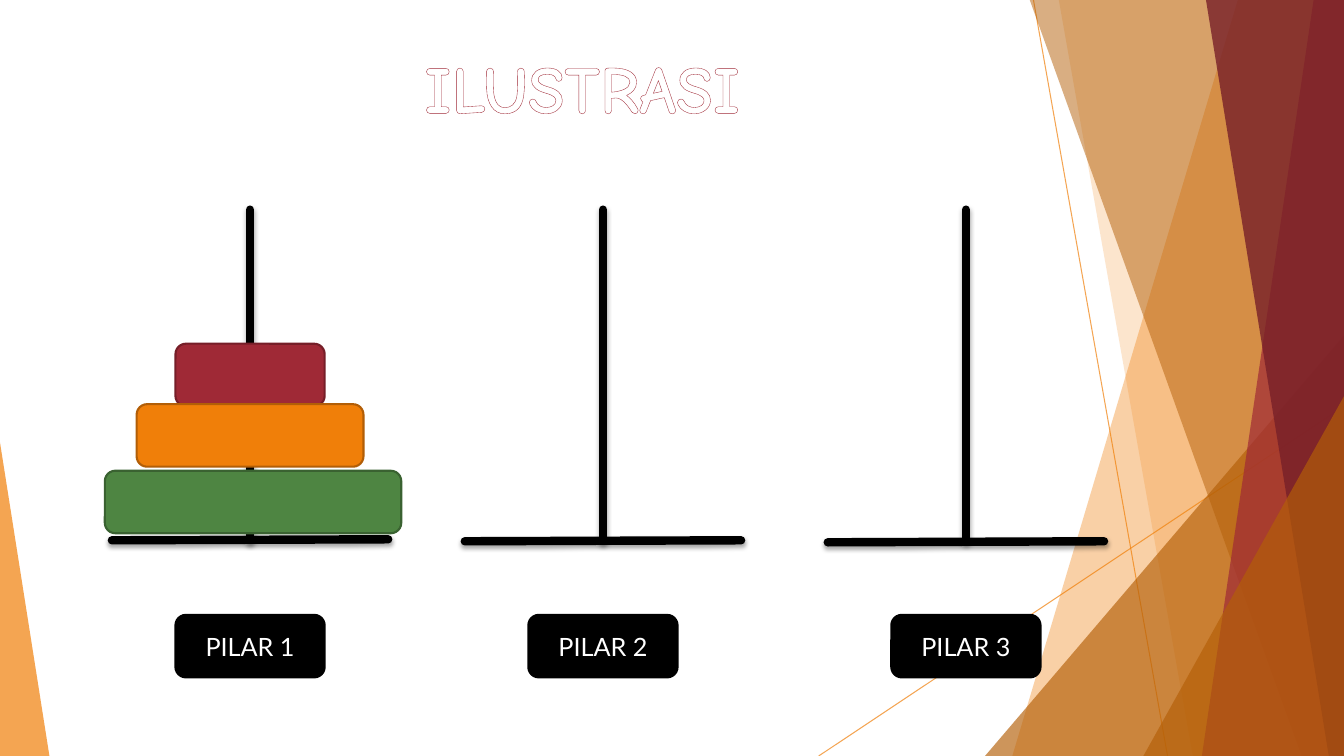
"""Build the Tower of Hanoi slide: three pillars, three disks and a shard backdrop."""
from lxml.etree import SubElement
from pptx import Presentation
from pptx.dml.color import RGBColor
from pptx.enum.shapes import MSO_CONNECTOR, MSO_SHAPE
from pptx.enum.text import MSO_ANCHOR, PP_ALIGN
from pptx.oxml.ns import qn
from pptx.util import Inches, Pt

WIDE, HIGH = 13.33, 7.5
TOP = -0.01
ORANGE, BROWN, RED, WINE = "F07F09", "B45F07", "9F2936", "771F28"
BLACK, WHITE = "000000", "FFFFFF"


def paint(fill, color, alpha=100):
    """Give a fill a solid colour, with an opacity in percent."""
    fill.solid()
    fill.fore_color.rgb = RGBColor.from_string(color)
    if alpha < 100:
        tint = fill._xPr.find(".//" + qn("a:srgbClr"))
        SubElement(tint, qn("a:alpha"), val=str(alpha * 1000))


def rule(start, end, color, width, alpha=100):
    """Draw a straight line and return it with its empty effect list."""
    ends = [Inches(v) for v in (*start, *end)]
    line = shapes.add_connector(MSO_CONNECTOR.STRAIGHT, *ends)
    line.line.width = Pt(width)
    paint(line.line.fill, color, alpha)
    return line, SubElement(line.element.spPr, qn("a:effectLst"))


deck = Presentation()
deck.slide_width, deck.slide_height = Inches(WIDE), Inches(HIGH)
slide = deck.slides.add_slide(deck.slide_layouts[6])
shapes = slide.shapes
paint(slide.background.fill, WHITE)

rule((10.25, 0), (11.58, HIGH), ORANGE, 0.75, 70)
rule((WIDE, 4.03), (8.12, HIGH), ORANGE, 0.75, 70)

# name, colour, opacity, then the slanted edge or the triangle's box
shards = [
    ("band", ORANGE, 36, (12.28, 10.04)),
    ("band", ORANGE, 20, (10.5, 11.83)),
    ("peak", BROWN, 66, (9.77, 3.33, 3.56, 1)),
    ("band", BROWN, 50, (10.21, 12.91)),
    ("band", RED, 70, (13.03, 11.92)),
    ("band", WINE, 80, (11.96, 13.18)),
    ("peak", BROWN, 66, (11.34, 3.93, 1.99, 1)),
    ("peak", ORANGE, 70, (0, 4.39, 0.49, 0)),
]
for kind, color, alpha, form in shards:
    if kind == "band":
        head, foot = form
        pen = shapes.build_freeform(Inches(head), Inches(TOP))
        edge = [(WIDE, TOP), (WIDE, HIGH), (foot, HIGH)]
        pen.add_line_segments([(Inches(x), Inches(y)) for x, y in edge])
        shard = pen.convert_to_shape()
    else:
        left, top, width, tip = form
        box = [Inches(v) for v in (left, top, width, HIGH - top)]
        shard = shapes.add_shape(MSO_SHAPE.ISOSCELES_TRIANGLE, *box)
        shard.adjustments[0] = tip
    shard.shadow.inherit = False
    shard.line.fill.background()
    paint(shard.fill, color, alpha)

posts = [2.48, 5.98, 9.58]
bars = [((x, 2.08), (x, 5.35)) for x in posts]
for n, x in enumerate(posts):
    level = 5.35 + n * 0.01
    bars.append(((x + 1.37, level), (x - 1.37, level + 0.01)))
for start, end in bars:
    bar, glow = rule(start, end, BLACK, 6)
    bar.line.fill._xPr.set("cap", "rnd")
    shade = SubElement(glow, qn("a:outerShdw"), blurRad=str(Pt(3)),
                       dist=str(Pt(2)), dir="5400000", rotWithShape="0")
    tint = SubElement(shade, qn("a:srgbClr"), val=BLACK)
    SubElement(tint, qn("a:alpha"), val="35000")

blocks = [
    (2.48, 3.41, 1.48, RED, "761E28", ""),
    (2.48, 4.01, 2.25, ORANGE, "B25E07", ""),
    (2.51, 4.67, 2.94, "4E8542", "3A6231", ""),
]
for n, x in enumerate(posts, 1):
    blocks.append((x, 6.1, 1.48, BLACK, BLACK, f"PILAR {n}"))
for mid, top, width, color, edge, label in blocks:
    box = [Inches(v) for v in (mid - width / 2, top, width, 0.62)]
    block = shapes.add_shape(MSO_SHAPE.ROUNDED_RECTANGLE, *box)
    block.shadow.inherit = False
    block.line.width = Pt(1.5)
    paint(block.fill, color)
    paint(block.line.fill, edge)
    if label:
        frame = block.text_frame
        frame.vertical_anchor = MSO_ANCHOR.MIDDLE
        text = frame.paragraphs[0]
        text.text, text.alignment = label, PP_ALIGN.CENTER
        text.font.name, text.font.size = "Lato", Pt(18)
        paint(text.font.fill, WHITE)

title = shapes.add_textbox(*[Inches(v) for v in (3.61, 0.41, 4.33, 0.74)])
title.text_frame.word_wrap = True
text = title.text_frame.paragraphs[0]
text.alignment = PP_ALIGN.CENTER
run = text.add_run()
run.text = "ILUSTRASI"
font = run.font
font.name, font.size, font.bold = "Comic Neue", Pt(48), True
paint(font.fill, WHITE)
trim = SubElement(font._element, qn("a:ln"), w=str(Pt(0.52)))
font._element.insert(0, trim)
SubElement(SubElement(trim, qn("a:solidFill")), qn("a:srgbClr"), val=RED)

deck.save("out.pptx")
